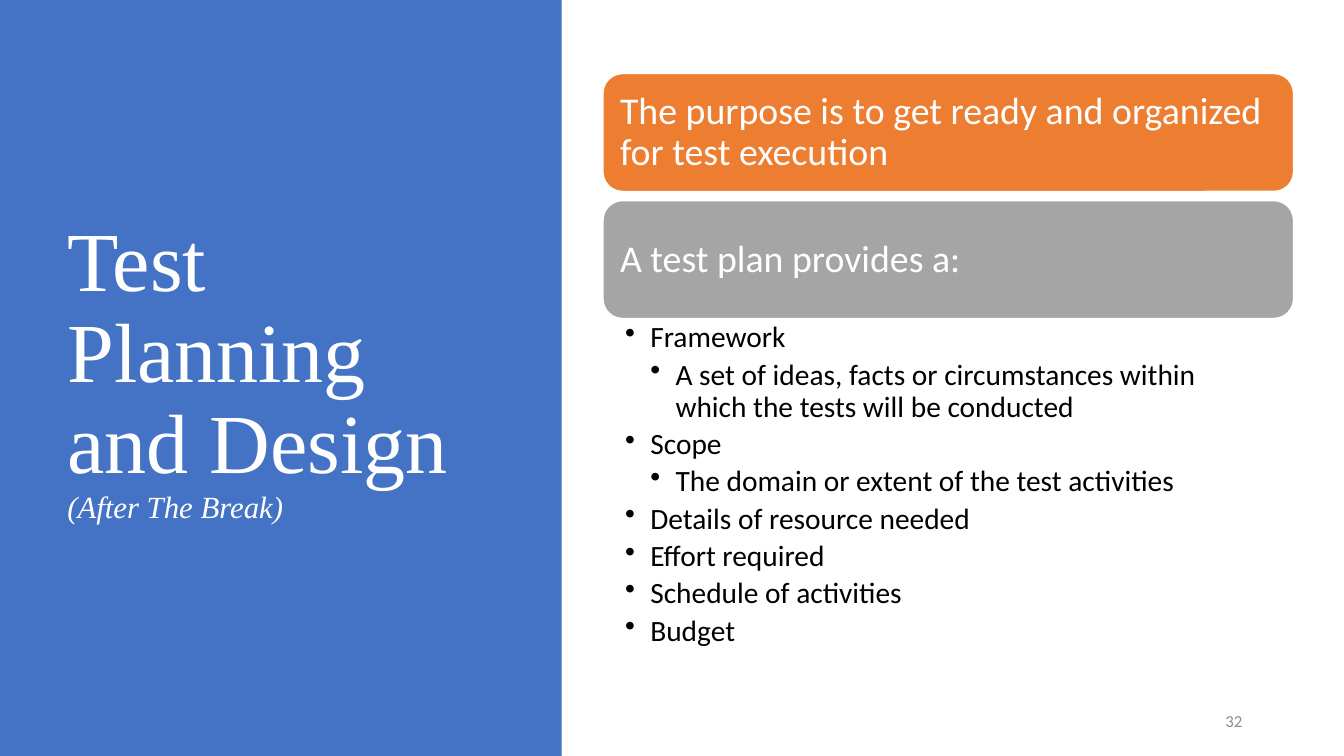
import dataclasses
import typing

import lxml.etree
import pptx
import pptx.dml.color
import pptx.enum.shapes
import pptx.enum.text
import pptx.oxml.ns
import pptx.util

SHAPE = pptx.enum.shapes.MSO_SHAPE
ANCHOR = pptx.enum.text.MSO_ANCHOR
ALIGN = pptx.enum.text.PP_ALIGN
SCALE = 9144
WHITE = "FFFFFF"
INDENT = 25


@dataclasses.dataclass
class Box:
    left: int
    top: int
    width: int
    height: int

    def emu(self) -> list[int]:
        return [px(side) for side in dataclasses.astuple(self)]


@dataclasses.dataclass
class Card:
    text: str
    color: str


@dataclasses.dataclass
class Item:
    text: str
    level: int = 1


CARDS = [
    Card("The purpose is to get ready and organized for test execution", "ED7D31"),
    Card("A test plan provides a:", "A5A5A5"),
]
ITEMS = [
    Item("Framework"),
    Item("A set of ideas, facts or circumstances within which the tests will be conducted", 2),
    Item("Scope"),
    Item("The domain or extent of the test activities", 2),
    Item("Details of resource needed"),
    Item("Effort required"),
    Item("Schedule of activities"),
    Item("Budget"),
]


def px(count: int) -> int:
    return pptx.util.Emu(count * SCALE)


def paint(target: typing.Any, color: str) -> None:
    target.solid()
    target.fore_color.rgb = pptx.dml.color.RGBColor.from_string(color)


def block(slide: typing.Any, box: Box, kind: typing.Any, color: str, edge: str = "") -> typing.Any:
    shape = slide.shapes.add_shape(kind, *box.emu())
    shape.shadow.inherit = False
    paint(shape.fill, color)
    if edge:
        paint(shape.line.fill, edge)
        shape.line.width = pptx.util.Pt(1)
    else:
        shape.line.fill.background()
    return shape


def frame(slide: typing.Any, box: Box, anchor: typing.Any, pad: tuple[int, int, int, int]) -> typing.Any:
    body = slide.shapes.add_textbox(*box.emu()).text_frame
    body.word_wrap = True
    body.vertical_anchor = anchor
    body.margin_left, body.margin_top, body.margin_right, body.margin_bottom = map(px, pad)
    return body


def bullet(para: typing.Any, level: int) -> None:
    props = para._p.get_or_add_pPr()
    props.set("marL", str(px(INDENT * level)))
    props.set("indent", str(px(-INDENT)))
    mark = lxml.etree.SubElement(props, pptx.oxml.ns.qn("a:buChar"))
    mark.set("char", "•")


def write(para: typing.Any, text: str, *, size: int, color: str, font: str = "Calibri",
          italic: bool = False, line: float = 0.9, after: int = 0,
          align: typing.Any = ALIGN.LEFT) -> None:
    para.alignment = align
    para.line_spacing = line
    para.space_after = pptx.util.Pt(after)
    run = para.add_run()
    run.text = text
    run.font.size = pptx.util.Pt(size)
    run.font.name = font
    run.font.italic = italic
    paint(run.font.fill, color)


def title(slide: typing.Any) -> None:
    block(slide, Box(0, 0, 557, 750), SHAPE.RECTANGLE, "4472C4")
    body = frame(slide, Box(57, 68, 416, 602), ANCHOR.MIDDLE, (10, 5, 10, 5))
    para = body.paragraphs[0]
    serif = {"font": "Times New Roman", "color": WHITE}
    write(para, "Test Planning and Design", size=60, **serif)
    para.add_line_break()
    write(para, "(After The Break)", size=22, italic=True, **serif)


def cards(slide: typing.Any) -> None:
    for index, card in enumerate(CARDS):
        top = 73 + 126 * index
        block(slide, Box(598, top, 685, 117), SHAPE.ROUNDED_RECTANGLE, card.color, WHITE)
        body = frame(slide, Box(604, top + 6, 674, 106), ANCHOR.MIDDLE, (11, 11, 11, 11))
        write(body.paragraphs[0], card.text, size=27, color=WHITE)


def items(slide: typing.Any) -> None:
    body = frame(slide, Box(598, 316, 685, 348), ANCHOR.TOP, (22, 4, 21, 4))
    for index, item in enumerate(ITEMS):
        para = body.add_paragraph() if index else body.paragraphs[0]
        para.level = item.level
        bullet(para, item.level)
        write(para, item.text, size=21, color="000000", after=4)


def number(slide: typing.Any) -> None:
    body = frame(slide, Box(942, 695, 300, 40), ANCHOR.MIDDLE, (10, 5, 10, 5))
    write(body.paragraphs[0], "32", size=12, color="8C8C8C", line=1.0, after=6, align=ALIGN.RIGHT)


def main() -> None:
    deck = pptx.Presentation()
    deck.slide_width, deck.slide_height = px(1333), px(750)
    slide = deck.slides.add_slide(deck.slide_layouts[6])
    title(slide)
    number(slide)
    cards(slide)
    items(slide)
    deck.save("out.pptx")


if __name__ == "__main__":
    main()
